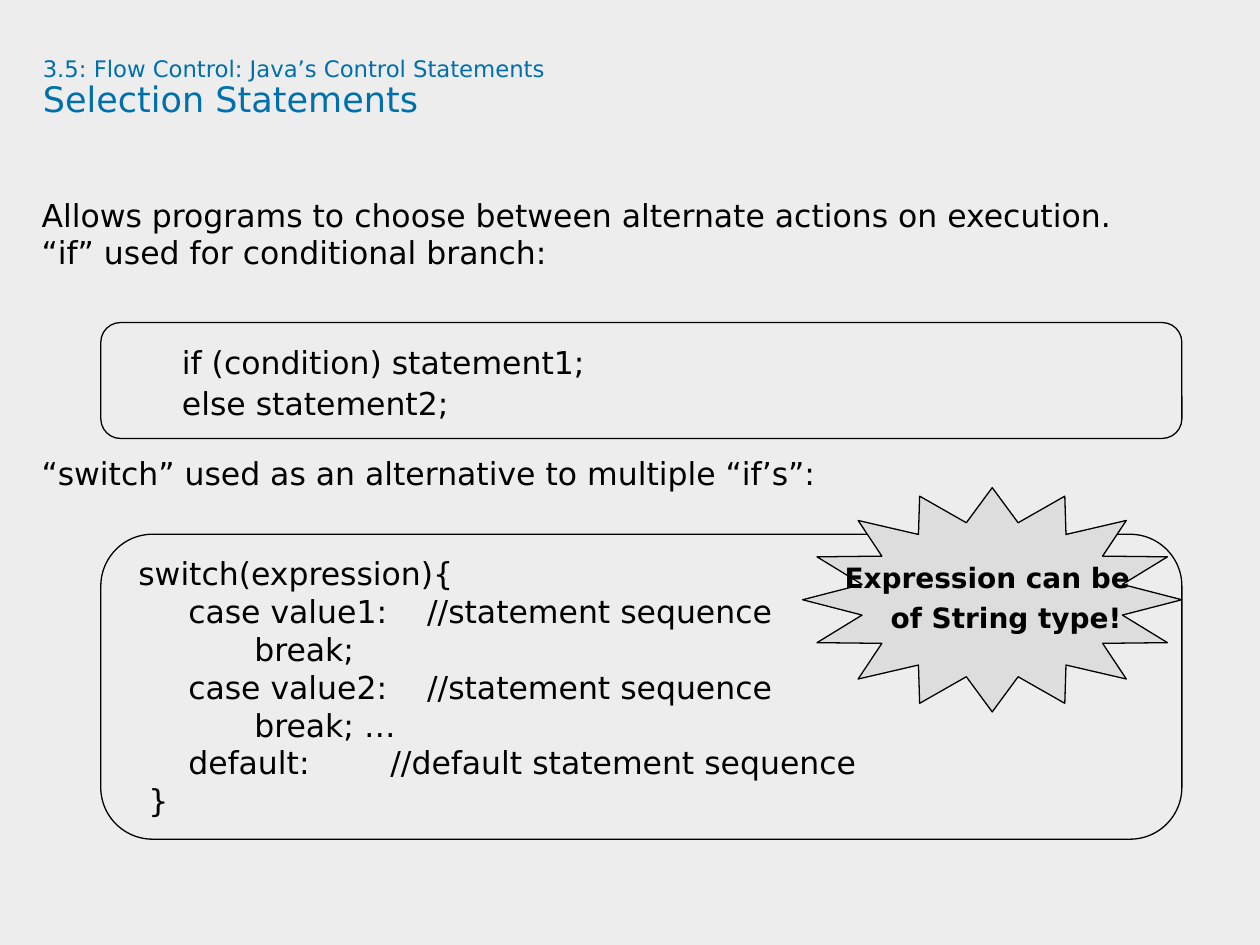
from dataclasses import dataclass
from typing import Any, Optional

from pptx import Presentation
from pptx import util as u
from pptx.dml.color import RGBColor
from pptx.enum import shapes, text

BLACK = RGBColor(0x00, 0x00, 0x00)
BLUE = RGBColor(0x00, 0x70, 0xAD)
PALE = RGBColor(0xED, 0xED, 0xED)
GREY = RGBColor(0xDD, 0xDD, 0xDD)
FACE = "DejaVu Sans"
LEFT = text.PP_ALIGN.LEFT
MID = text.PP_ALIGN.CENTER
KIND = shapes.MSO_SHAPE


@dataclass
class Line:
    words: str
    size: int = 18
    color: RGBColor = BLACK
    bold: bool = False
    align: Any = LEFT
    pitch: Any = 1.0
    before: float = 0
    after: float = 0
    left: float = 0


@dataclass
class Panel:
    kind: Any
    place: tuple[float, float, float, float]
    adjust: float
    lines: list[Line]
    fill: Optional[RGBColor] = None


def apply(item: Any, values: dict[str, Any]) -> None:
    for name, value in values.items():
        setattr(item, name, value)


def move(shape: Any, place: tuple[float, float, float, float]) -> None:
    apply(shape, dict(zip(("left", "top", "width", "height"), map(u.Inches, place))))


def write(frame: Any, lines: list[Line]) -> None:
    for i, line in enumerate(lines):
        para = frame.paragraphs[0] if i == 0 else frame.add_paragraph()
        apply(para, {
            "alignment": line.align,
            "line_spacing": line.pitch,
            "space_before": u.Pt(line.before),
            "space_after": u.Pt(line.after),
        })
        if line.left:
            props = para._p.get_or_add_pPr()
            props.set("marL", str(u.Inches(line.left)))
            props.set("indent", "0")
        run = para.add_run()
        run.text = line.words
        apply(run.font, {"name": FACE, "size": u.Pt(line.size), "bold": line.bold})
        run.font.color.rgb = line.color


def flush(frame: Any) -> None:
    apply(frame, {
        "margin_left": 0, "margin_top": 0, "margin_right": 0, "margin_bottom": 0,
        "word_wrap": True,
        "auto_size": text.MSO_AUTO_SIZE.NONE,
        "vertical_anchor": text.MSO_ANCHOR.TOP,
    })


def draw(slide: Any, panel: Panel) -> None:
    shape = slide.shapes.add_shape(panel.kind, *map(u.Inches, panel.place))
    shape.adjustments[0] = panel.adjust
    shape.shadow.inherit = False
    if panel.fill is None:
        shape.fill.background()
    else:
        shape.fill.solid()
        shape.fill.fore_color.rgb = panel.fill
    shape.line.color.rgb = BLACK
    shape.line.width = u.Pt(0.75)
    apply(shape.text_frame, {"word_wrap": False, "vertical_anchor": text.MSO_ANCHOR.MIDDLE})
    write(shape.text_frame, panel.lines)


HEAD = [
    Line("3.5: Flow Control: Java’s Control Statements", 13, BLUE, pitch=0.9),
    Line("Selection Statements", 20, BLUE, pitch=0.9),
]

PITCH = u.Pt(16.5)
GAP = 4.5
BODY = [
    Line("Allows programs to choose between alternate actions on execution.",
         pitch=PITCH, after=GAP),
    Line("“if” used for conditional branch:", pitch=PITCH, after=GAP),
    Line("“switch” used as an alternative to multiple “if’s”:",
         pitch=PITCH, before=5 * (16.5 + GAP), after=GAP),
]

BRANCH = ["if (condition) statement1;", "else statement2;"]
SWITCH = [
    " switch(expression){",
    "      case value1:    //statement sequence",
    "\t\tbreak;",
    "      case value2:    //statement sequence",
    "\t\tbreak; …",
    "      default:      \t //default statement sequence",
    "  }",
]
NOTE = [
    Line("Expression can be ", 16, bold=True, align=MID, pitch=0.9),
    Line("of String type!", 16, bold=True, align=MID, pitch=0.9, before=5.5, left=0.22),
]

PANELS = [
    Panel(KIND.ROUNDED_RECTANGLE, (0.8, 2.56, 8.58, 0.92), 0.17,
          [Line(words, pitch=1.1, left=0.5) for words in BRANCH]),
    Panel(KIND.ROUNDED_RECTANGLE, (0.8, 4.24, 8.58, 2.42), 0.17,
          [Line(words) for words in SWITCH]),
    Panel(KIND.STAR_16_POINT, (6.37, 3.87, 3.01, 1.78), 0.35, NOTE, GREY),
]


def main() -> None:
    deck = Presentation()
    apply(deck, {"slide_width": u.Inches(10), "slide_height": u.Inches(7.5)})
    slide = deck.slides.add_slide(deck.slide_layouts[5])
    slide.background.fill.solid()
    slide.background.fill.fore_color.rgb = PALE

    title = slide.shapes.title
    move(title, (0.34, 0.46, 9.09, 0.94))
    body = slide.shapes.add_textbox(*map(u.Inches, (0.33, 1.63, 9.67, 5.08)))
    for shape, lines in ((title, HEAD), (body, BODY)):
        flush(shape.text_frame)
        write(shape.text_frame, lines)

    for panel in PANELS:
        draw(slide, panel)
    deck.save("out.pptx")


if __name__ == "__main__":
    main()
